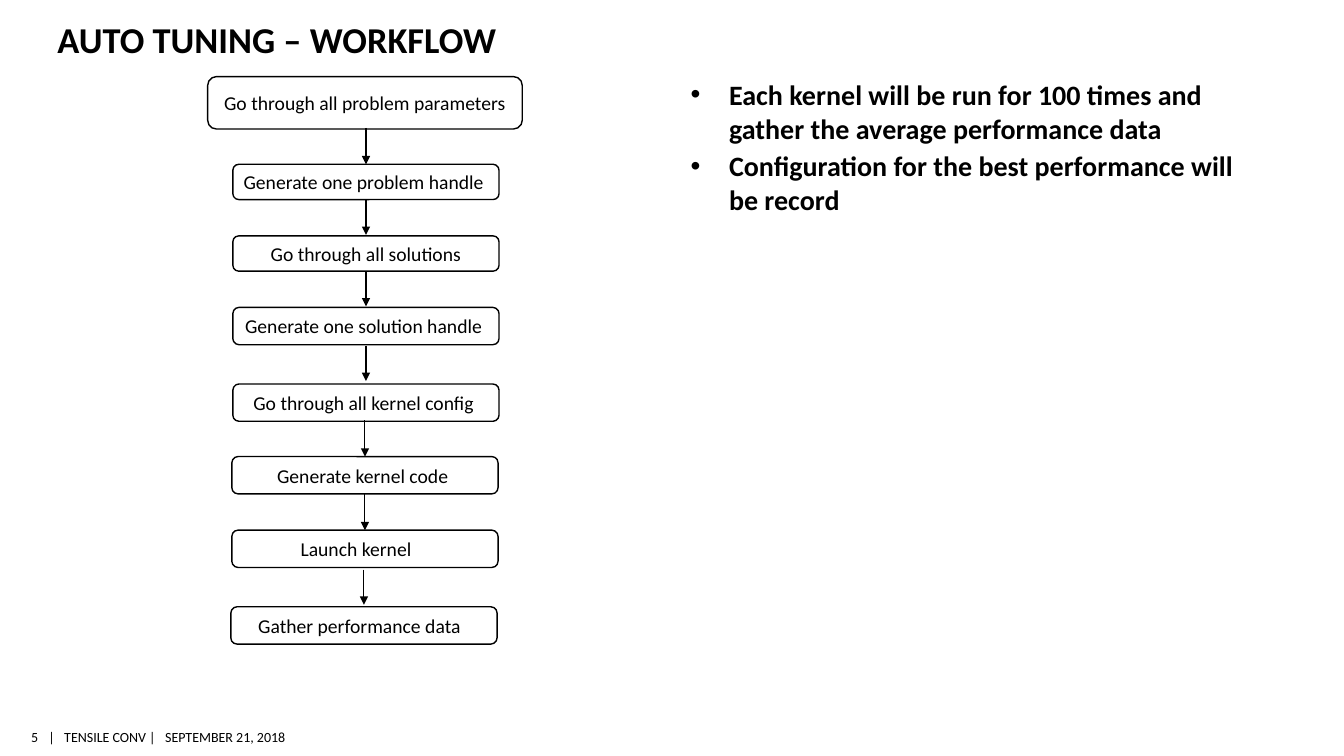
from lxml import etree
from pptx import Presentation
from pptx.dml.color import RGBColor
from pptx.enum.shapes import MSO_CONNECTOR as CONN, MSO_SHAPE as SHAPE
from pptx.enum.text import MSO_ANCHOR as ANCHOR, PP_ALIGN as ALIGN
from pptx.oxml.ns import qn
from pptx.util import Inches, Pt

BLACK = RGBColor(0, 0, 0)
FONT = "Calibri"
SPACE = 0.044  # width of a 14 pt space, in inches

# text, left, top, width, height, spaces of room on the right
STEPS = [
    ("Go through all problem parameters", 2.06, 0.76, 3.12, 0.52, 0),
    ("Generate one problem handle", 2.31, 1.63, 2.64, 0.35, 1),
    ("Go through all solutions", 2.31, 2.34, 2.64, 0.35, 0),
    ("Generate one solution handle", 2.31, 3.05, 2.64, 0.37, 1),
    ("Go through all kernel config", 2.31, 3.81, 2.64, 0.37, 1),
    ("Generate kernel code", 2.30, 4.53, 2.64, 0.37, 1),
    ("Launch kernel", 2.30, 5.26, 2.64, 0.37, 4),
    ("Gather performance data", 2.29, 6.02, 2.64, 0.37, 2),
]
# x, top, bottom
ARROWS = [
    (3.63, 1.27, 1.63), (3.63, 1.98, 2.33), (3.63, 2.69, 3.04),
    (3.63, 3.43, 3.78), (3.62, 4.17, 4.53), (3.62, 4.9, 5.26),
    (3.61, 5.65, 6.0),
]
POINTS = [
    "Each kernel will be run for 100 times and gather the average performance data",
    "Configuration for the best performance will be record",
]


def set_frame(tf, insets, anchor, wrap=True):
    """Insets are left, top, right and bottom in inches."""
    tf.margin_left, tf.margin_top, tf.margin_right, tf.margin_bottom = map(Inches, insets)
    tf.vertical_anchor = anchor
    tf.word_wrap = wrap


def set_text(p, text, size, bold=False, align=ALIGN.LEFT):
    p.text = text
    p.alignment = align
    p.font.name, p.font.size, p.font.bold = FONT, Pt(size), bold
    p.font.color.rgb = BLACK


def add_title(s, text):
    title = s.shapes.title
    title.left, title.top = Inches(0.47), Inches(0.12)
    title.width, title.height = Inches(12.39), Inches(0.6)
    set_frame(title.text_frame, (0.1, 0.05, 0.1, 0.05), ANCHOR.TOP)
    set_text(title.text_frame.paragraphs[0], text, 26, bold=True)


def add_bullets(s, points):
    box = s.shapes.add_textbox(Inches(6.44), Inches(0.72), Inches(6.08), Inches(6.37))
    tf = box.text_frame
    set_frame(tf, (0, 0.05, 0, 0.05), ANCHOR.TOP)
    for i, point in enumerate(points):
        p = tf.add_paragraph() if i else tf.paragraphs[0]
        set_text(p, point, 20, bold=True)
        p.level = 1
        p.space_before = Pt(3)
        pPr = p._p.get_or_add_pPr()
        pPr.set("marL", str(Inches(0.79)))
        pPr.set("indent", str(Inches(-0.38)))
        bullet_font = etree.Element(qn("a:buFont"), typeface="Arial")
        bullet = etree.Element(qn("a:buChar"), char="•")
        pPr.find(qn("a:spcBef")).addnext(bullet_font)
        bullet_font.addnext(bullet)


def add_step(s, text, left, top, width, height, spaces):
    box = s.shapes.add_shape(SHAPE.FLOWCHART_ALTERNATE_PROCESS, Inches(left),
                             Inches(top), Inches(width), Inches(height))
    box.shadow.inherit = False
    box.fill.background()
    box.line.color.rgb = BLACK
    box.line.width = Pt(1)
    set_frame(box.text_frame, (0, 0, spaces * SPACE, 0), ANCHOR.MIDDLE)
    set_text(box.text_frame.paragraphs[0], text, 14, align=ALIGN.CENTER)


def add_arrow(s, x, top, bottom):
    arrow = s.shapes.add_connector(CONN.STRAIGHT, Inches(x), Inches(top),
                                   Inches(x), Inches(bottom))
    arrow.line.color.rgb = BLACK
    arrow.line.width = Pt(0.75)
    etree.SubElement(arrow.line._get_or_add_ln(), qn("a:tailEnd"), type="triangle")
    etree.SubElement(arrow._element.spPr, qn("a:effectLst"))


def add_footer(s, text, left, width, align):
    box = s.shapes.add_textbox(Inches(left), Inches(7.18), Inches(width), Inches(0.26))
    set_frame(box.text_frame, (0, 0.04, 0, 0.04), ANCHOR.MIDDLE, wrap=False)
    set_text(box.text_frame.paragraphs[0], text, 10, align=align)


def main():
    prs = Presentation()
    prs.slide_width, prs.slide_height = Inches(13.33), Inches(7.5)
    s = prs.slides.add_slide(prs.slide_layouts.get_by_name("Title Only"))
    add_title(s, "AUTO TUNING – WORKFLOW")
    add_bullets(s, POINTS)
    for step in STEPS:
        add_step(s, *step)
    for arrow in ARROWS:
        add_arrow(s, *arrow)
    add_footer(s, "5", 0.22, 0.16, ALIGN.RIGHT)
    add_footer(s, "|   TENSILE CONV |   SEPTEMBER 21, 2018", 0.48, 2.42, ALIGN.LEFT)
    prs.save("out.pptx")


if __name__ == "__main__":
    main()
